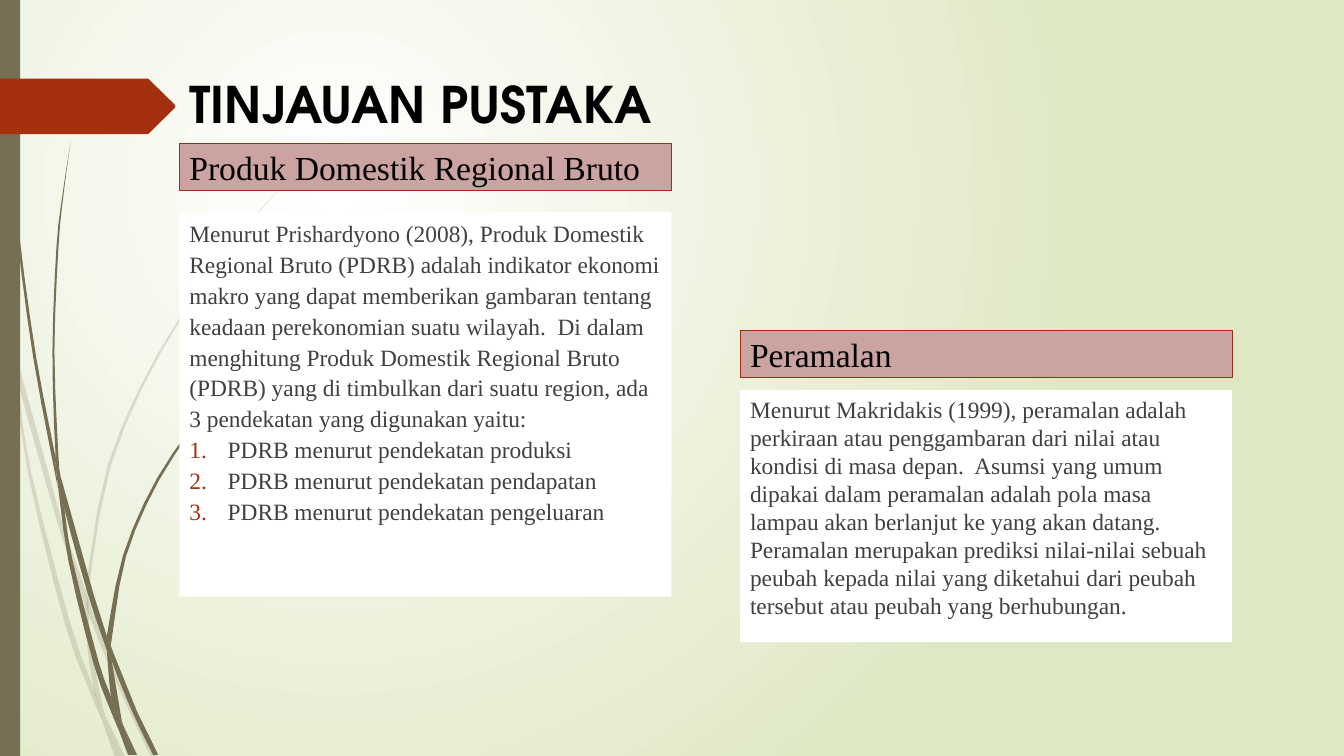
from dataclasses import dataclass
from lxml.etree import SubElement
from pptx import Presentation
from pptx.dml.color import RGBColor
from pptx.enum.shapes import MSO_SHAPE as Shape
from pptx.enum.text import MSO_ANCHOR as Anchor, PP_ALIGN as Align
from pptx.oxml.ns import qn
from pptx.util import Inches, Pt


@dataclass(frozen=True)
class Theme:
    olive: str = "766F54"
    rust: str = "A53010"
    rust_edge: str = "9E2E0F"
    rose: str = "CBA3A0"
    white: str = "FFFFFF"
    sage: str = "DFE8C4"
    black: str = "000000"
    grey: str = "404040"
    title_font: str = "TeX Gyre Adventor"
    text_font: str = "Times New Roman"
    title_size: float = 36
    heading_size: float = 24
    body_size: float = 16.7


@dataclass(frozen=True)
class Box:
    left: float
    top: float
    width: float
    height: float

    def lengths(self):
        return [Inches(side) for side in (self.left, self.top, self.width, self.height)]


THEME = Theme()
HEADING_HEIGHT = 0.47

PALE_BLADES = [
    ([(0, 2.99), (0.1, 3.44), (0.11, 3.5)], [(0, 2.82), (0.09, 3.22), (0.11, 3.5)]),
    ([(0.14, 3.45), (0.17, 3.76), (0.58, 5.22), (0.84, 5.99)], [(0.14, 3.45), (0.62, 5.2), (0.85, 5.86)]),
    ([(0.88, 5.96), (0.88, 6.1), (1.23, 6.94), (1.5, 7.51)], [(0.92, 6.07), (1.27, 6.92), (1.55, 7.51)]),
    ([(1.05, 7.11), (1.19, 7.51)], [(1.05, 7.11), (1.24, 7.51)]),
    ([(0.11, 3.5), (0.28, 4.7), (0.65, 6.21), (0.92, 6.93), (1.01, 7.14)],
     [(0.17, 3.76), (0.31, 4.69), (0.7, 6.19), (0.93, 6.83), (0.99, 7.07)]),
    ([(0.84, 5.99), (0.87, 6.46), (0.93, 6.83), (0.96, 6.92), (1.05, 7.11)],
     [(0.88, 6.08), (0.88, 6.1), (0.91, 6.46), (1.03, 7.06)]),
    ([(3.12, 1.53), (2.89, 1.75), (2.68, 1.97), (2.28, 2.44), (1.58, 3.48), (1.07, 4.61), (0.85, 5.84)],
     [(3.12, 1.54), (2.9, 1.75), (2.68, 1.98), (2.29, 2.45), (1.6, 3.49), (1.1, 4.62), (0.88, 5.84), (0.88, 5.96)]),
    ([(1.01, 7.14), (1.14, 7.51)], [(1.01, 7.14), (1.19, 7.51)]),
    ([(0.85, 5.86), (0.84, 5.99), (0.88, 6.08)], [(0.88, 5.96), (0.88, 6.1)]),
    ([(0.93, 6.83), (0.99, 7.07), (1.01, 7.14), (1.19, 7.51)], [(0.96, 6.92), (1.05, 7.11), (1.19, 7.51)]),
]
DARK_BLADES = [
    ([(0.03, 0), (0.04, 0.48), (0.07, 1.1), (0.17, 2.33), (0.33, 3.55), (0.56, 4.77), (0.57, 4.81)],
     [(0.04, 0), (0.05, 0.48), (0.08, 1.09), (0.19, 2.32), (0.36, 3.55), (0.55, 4.53), (0.55, 4.57)]),
    ([(0.6, 4.72), (0.64, 5.05), (0.88, 5.92), (1.06, 6.45)], [(0.6, 4.72), (0.93, 5.9), (1.06, 6.31)]),
    ([(1.1, 6.41), (1.11, 6.56), (1.32, 7.08), (1.52, 7.49)], [(1.13, 6.49), (1.36, 7.06), (1.57, 7.49)]),
    ([(0.57, 4.77), (0.68, 5.57), (0.93, 6.59), (1.11, 7.08), (1.17, 7.22)],
     [(0.64, 5.05), (0.72, 5.56), (0.98, 6.57), (1.1, 6.91), (1.16, 7.17)]),
    ([(0.7, 1.41), (0.62, 1.93), (0.56, 2.45), (0.52, 3.49), (0.55, 4.49), (0.6, 4.72)],
     [(0.7, 1.41), (0.63, 1.93), (0.58, 2.45), (0.54, 3.49), (0.58, 4.53), (0.6, 4.72)]),
    ([(1.22, 7.19), (1.33, 7.49)], [(1.22, 7.19), (1.36, 7.49)]),
    ([(0.55, 4.49), (0.55, 4.53), (0.57, 4.77), (0.64, 5.05)], [(0.6, 4.72), (0.64, 5.05)]),
    ([(2.6, 3.44), (2.45, 3.58), (2.31, 3.73), (2.04, 4.05), (1.56, 4.74), (1.22, 5.51), (1.06, 6.31)],
     [(2.61, 3.44), (2.45, 3.59), (2.31, 3.74), (2.05, 4.06), (1.58, 4.76), (1.25, 5.52), (1.11, 6.33), (1.1, 6.41)]),
    ([(1.17, 7.22), (1.27, 7.49)], [(1.17, 7.22), (1.31, 7.49)]),
    ([(1.06, 6.45), (1.1, 6.91), (1.16, 7.06), (1.22, 7.19)], [(1.09, 6.51), (1.11, 6.56), (1.21, 7.16)]),
    ([(1.06, 6.31), (1.06, 6.45), (1.11, 6.56)], [(1.1, 6.41), (1.11, 6.56)]),
    ([(1.1, 6.91), (1.16, 7.17), (1.17, 7.22), (1.3, 7.49)], [(1.16, 7.06), (1.22, 7.19), (1.33, 7.49)]),
]

GDP_INTRO = (
    "Menurut Prishardyono (2008), Produk Domestik Regional Bruto (PDRB) adalah indikator "
    "ekonomi makro yang dapat memberikan gambaran tentang keadaan perekonomian suatu wilayah.  "
    "Di dalam menghitung Produk Domestik Regional Bruto (PDRB) yang di timbulkan dari suatu "
    "region, ada 3 pendekatan yang digunakan yaitu:")
GDP_APPROACHES = [f"PDRB menurut pendekatan {kind}"
                  for kind in ("produksi", "pendapatan", "pengeluaran")]
FORECAST_INTRO = (
    "Menurut Makridakis (1999), peramalan adalah perkiraan atau penggambaran dari nilai atau "
    "kondisi di masa depan.  Asumsi yang umum dipakai dalam peramalan adalah pola masa lampau "
    "akan berlanjut ke yang akan datang.  Peramalan merupakan prediksi nilai-nilai sebuah "
    "peubah kepada nilai yang diketahui dari peubah tersebut atau peubah yang berhubungan.")


def apply(target, formats):
    for name, value in formats.items():
        setattr(target, name, value)


def paint(shape, fill, edge=None, alpha=None):
    shape.shadow.inherit = False
    shape.fill.solid()
    shape.fill.fore_color.rgb = RGBColor.from_string(fill)
    if alpha:
        color = shape.fill._xPr.find(qn("a:solidFill"))[0]
        SubElement(color, qn("a:alpha"), val=str(alpha * 1000))
    if edge:
        shape.line.color.rgb = RGBColor.from_string(edge)
        shape.line.width = Pt(0.75)
    else:
        shape.line.fill.background()


def write(para, text, font, size, color, bold=False, **formats):
    span = para.add_run()
    span.text = text
    apply(span.font, {"name": font, "size": Pt(size), "bold": bold})
    span.font.color.rgb = RGBColor.from_string(color)
    apply(para, {"alignment": Align.LEFT, **formats})


def number(para):
    props = para._p.get_or_add_pPr()
    indent = Inches(0.38)
    props.set("marL", str(indent))
    props.set("indent", str(-indent))
    color = SubElement(props, qn("a:buClr"))
    SubElement(color, qn("a:srgbClr"), val=THEME.rust)
    SubElement(props, qn("a:buFont"), typeface=THEME.text_font)
    SubElement(props, qn("a:buAutoNum"), type="arabicPeriod")


def smooth(points, steps=3):
    if len(points) < 4:
        return points
    padded = [points[0], *points, points[-1]]
    curve = []
    for a, b, c, d in zip(padded, padded[1:], padded[2:], padded[3:]):
        for t in (step / steps for step in range(steps)):
            curve.append(tuple(
                q + t * (r - p) / 2 + t**2 * (2 * p - 5 * q + 4 * r - s) / 2
                + t**3 * (3 * q - p - 3 * r + s) / 2
                for p, q, r, s in zip(a, b, c, d)))
    return [*curve, points[-1]]


def draw_outline(page, box, points, fill, alpha=None):
    places = [(Inches(box.left + x), Inches(box.top + y)) for x, y in points]
    builder = page.shapes.build_freeform(*places[0])
    builder.add_line_segments(places[1:], close=True)
    paint(builder.convert_to_shape(), fill, alpha=alpha)


def draw_background(page):
    fill = page.background.fill
    fill.gradient()
    for stop, color in zip(fill.gradient_stops, (THEME.white, THEME.sage)):
        stop.color.rgb = RGBColor.from_string(color)
    gradient = page.background._cSld.find(".//" + qn("a:gradFill"))
    gradient.remove(gradient.find(qn("a:lin")))
    shade = SubElement(gradient, qn("a:path"), {"path": "circle"})
    SubElement(shade, qn("a:fillToRect"), l="50000", t="50000", r="100000", b="100000")


def draw_grass(page, box):
    for blades, alpha in ((PALE_BLADES, 20), (DARK_BLADES, None)):
        for near, far in blades:
            draw_outline(page, box, smooth(near) + smooth(far)[::-1], THEME.olive, alpha)
    bar = page.shapes.add_shape(Shape.RECTANGLE, *Box(box.left, box.top, 0.2, box.height).lengths())
    paint(bar, THEME.olive)


def draw_marker(page, box):
    tip, middle, slope = box.width, box.height / 2, 0.27
    outline = [(0, 0), (tip - slope, 0), (tip - 0.01, middle - 0.02), (tip, middle),
               (tip - 0.01, middle + 0.02), (tip - slope, box.height), (0, box.height)]
    draw_outline(page, box, outline, THEME.rust)


def place_title(page, box, text):
    title = page.shapes.title
    apply(title, dict(zip(("left", "top", "width", "height"), box.lengths())))
    apply(title.text_frame, {"vertical_anchor": Anchor.MIDDLE, "word_wrap": True})
    write(title.text_frame.paragraphs[0], text, THEME.title_font, THEME.title_size,
          THEME.black, bold=True)


def draw_topic(page, box, heading, intro, gap, spacing, items=()):
    banner_box = Box(box.left, box.top, box.width, HEADING_HEIGHT)
    banner = page.shapes.add_shape(Shape.RECTANGLE, *banner_box.lengths())
    paint(banner, THEME.rose, THEME.rust_edge)
    apply(banner.text_frame, {"vertical_anchor": Anchor.MIDDLE, "word_wrap": True})
    write(banner.text_frame.paragraphs[0], heading, THEME.text_font, THEME.heading_size, THEME.black)

    offset = HEADING_HEIGHT + gap
    panel_box = Box(box.left, box.top + offset, box.width, box.height - offset)
    panel = page.shapes.add_shape(Shape.RECTANGLE, *panel_box.lengths())
    paint(panel, THEME.white)
    frame = panel.text_frame
    apply(frame, {"vertical_anchor": Anchor.TOP, "word_wrap": True})
    for index, text in enumerate((intro, *items)):
        para = frame.add_paragraph() if index else frame.paragraphs[0]
        write(para, text, THEME.text_font, THEME.body_size, THEME.grey, line_spacing=spacing)
        if index:
            number(para)


def build_review(deck):
    page = deck.slides.add_slide(deck.slide_layouts[5])
    draw_background(page)
    draw_grass(page, Box(0, 0, 3.12, 7.5))
    draw_marker(page, Box(0, 0.78, 1.74, 0.55))
    place_title(page, Box(1.78, 0.66, 10.8, 0.74), "TINJAUAN PUSTAKA")
    draw_topic(page, Box(1.78, 1.42, 4.88, 4.5), "Produk Domestik Regional Bruto",
               GDP_INTRO, 0.21, 1.1, GDP_APPROACHES)
    draw_topic(page, Box(7.34, 3.28, 4.88, 3.09), "Peramalan", FORECAST_INTRO, 0.12, 1.0)


deck = Presentation()
apply(deck, {"slide_width": Inches(13.33), "slide_height": Inches(7.5)})
build_review(deck)
deck.save("out.pptx")
